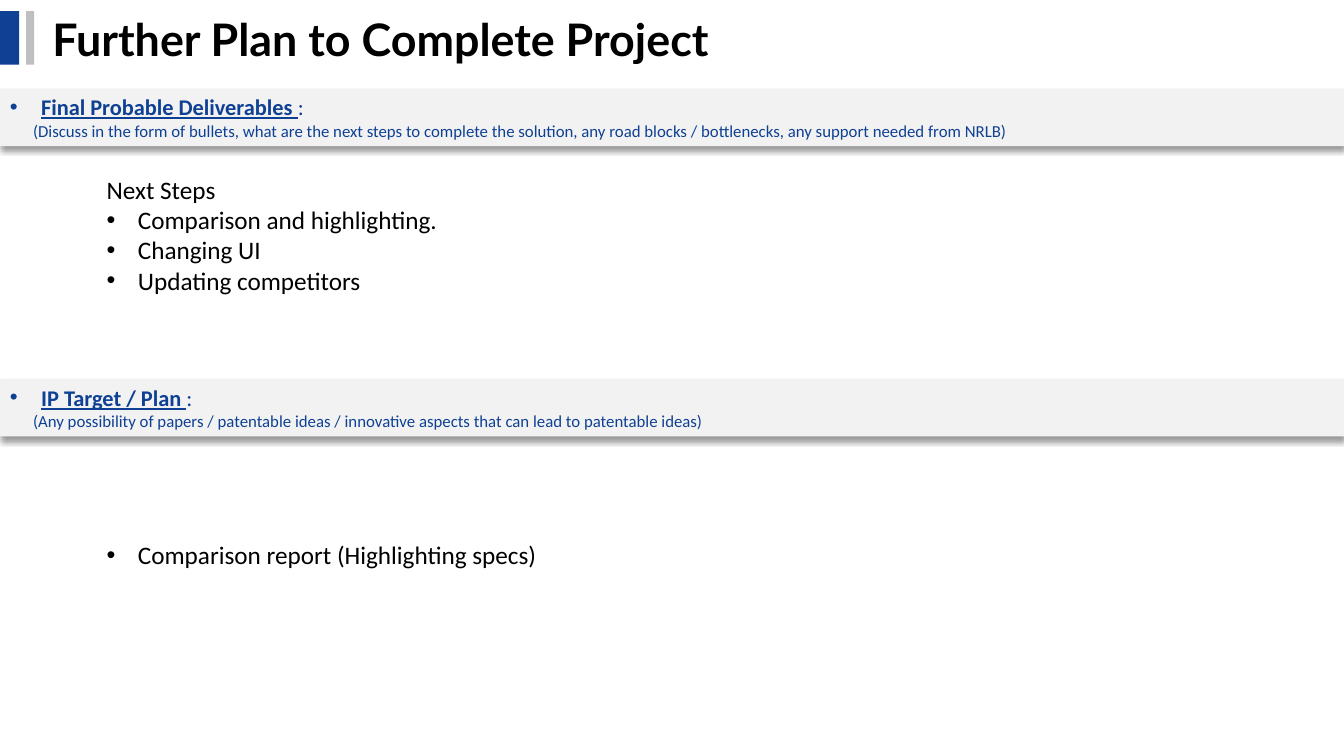
"""Build the project plan slide with two headed sections."""
import pptx
import pptx.dml.color
import pptx.enum.shapes
import pptx.enum.text
import pptx.util
from lxml import etree

THEME = {
    "blue": "0E4094", "grey": "BFBFBF", "band": "F2F2F2", "black": "000000",
    "title": 32, "heading": 16, "note": 12, "body": 18,
    "title_font": "Lato", "text_font": "Calibri",
}
DRAWING = "http://schemas.openxmlformats.org/drawingml/2006/main"
BULLET_INDENT = pptx.util.Inches(0.31)
NOTE_INDENT = pptx.util.Inches(0.23)

deck = pptx.Presentation()
deck.slide_width = pptx.util.Inches(13.33)
deck.slide_height = pptx.util.Inches(7.5)
page = deck.slides.add_slide(deck.slide_layouts[6])


def add_box(left, top, width, height, fill=None):
    """Add a filled rectangle or a text box, placed in percent of the slide."""
    across, down = deck.slide_width / 100, deck.slide_height / 100
    place = [int(share * unit) for share, unit in
             zip((left, top, width, height), (across, down, across, down))]
    if fill:
        box = page.shapes.add_shape(pptx.enum.shapes.MSO_SHAPE.RECTANGLE, *place)
        box.fill.solid()
        box.fill.fore_color.rgb = pptx.dml.color.RGBColor.from_string(THEME[fill])
        box.line.fill.background()
        box.shadow.inherit = False
    else:
        box = page.shapes.add_textbox(*place)
    box.text_frame.word_wrap = True
    box.text_frame.vertical_anchor = pptx.enum.text.MSO_ANCHOR.TOP
    return box


def write(para, spans, color, font="text_font", indent=0, bullet=False):
    """Fill a paragraph with (text, format values) spans."""
    for text, values in spans:
        span = para.add_run()
        span.text = text
        span.font.name = THEME[font]
        span.font.color.rgb = pptx.dml.color.RGBColor.from_string(THEME[color])
        for name, value in values.items():
            setattr(span.font, name, value)
    properties = para._p.get_or_add_pPr()
    properties.set("marL", str(indent))
    properties.set("indent", str(-indent if bullet else 0))
    if bullet:
        etree.SubElement(properties, f"{{{DRAWING}}}buFont", typeface="Arial")
        etree.SubElement(properties, f"{{{DRAWING}}}buChar", char="•")


add_box(0, 1.47, 1.43, 7.07, "blue")
title = add_box(3.15, 0.8, 77.12, 8.53).text_frame
title.vertical_anchor = pptx.enum.text.MSO_ANCHOR.MIDDLE
write(title.paragraphs[0],
      [("Further Plan to Complete Project",
        {"size": pptx.util.Pt(THEME["title"]), "bold": True})],
      "black", "title_font")
add_box(1.95, 1.47, 0.6, 7.07, "grey")

bands = [
    (11.73, "Final Probable Deliverables ",
     "(Discuss in the form of bullets, what are the next steps to complete the "
     "solution, any road blocks / bottlenecks, any support needed from NRLB)"),
    (50.13, "IP Target / Plan ",
     "(Any possibility of papers / patentable ideas / innovative aspects that "
     "can lead to patentable ideas)"),
]
heading_size = pptx.util.Pt(THEME["heading"])
for top, heading, note in bands:
    band = add_box(0, top, 100, 7.6, "band")
    effects = band._element.spPr.find(f"{{{DRAWING}}}effectLst")
    shadow = etree.SubElement(
        effects, f"{{{DRAWING}}}outerShdw", blurRad=str(pptx.util.Pt(4)),
        dist=str(pptx.util.Pt(3)), dir="5400000", algn="t", rotWithShape="0")
    shade = etree.SubElement(shadow, f"{{{DRAWING}}}srgbClr", val=THEME["black"])
    etree.SubElement(shade, f"{{{DRAWING}}}alpha", val="40000")
    first = band.text_frame.paragraphs[0]
    second = band.text_frame.add_paragraph()
    for para in (first, second):
        para.alignment = pptx.enum.text.PP_ALIGN.JUSTIFY
    write(first,
          [(heading, {"size": heading_size, "bold": True, "underline": True}),
           (": ", {"size": heading_size})],
          "blue", indent=BULLET_INDENT, bullet=True)
    write(second, [(note, {"size": pptx.util.Pt(THEME["note"])})],
          "blue", indent=NOTE_INDENT)

lists = [
    ((7.2, 22.4, 26.41, 17.47), "Next Steps",
     ["Comparison and highlighting.", "Changing UI", "Updating competitors"]),
    ((7.2, 70.67, 33.91, 9.47), None, ["Comparison report (Highlighting specs)"]),
]
for place, lead, items in lists:
    frame = add_box(*place).text_frame
    lines = [(lead, False)] if lead else []
    lines += [(item, True) for item in items]
    for number, (text, bullet) in enumerate(lines):
        para = frame.add_paragraph() if number else frame.paragraphs[0]
        write(para, [(text, {"size": pptx.util.Pt(THEME["body"])})], "black",
              indent=BULLET_INDENT if bullet else 0, bullet=bullet)

deck.save("out.pptx")
